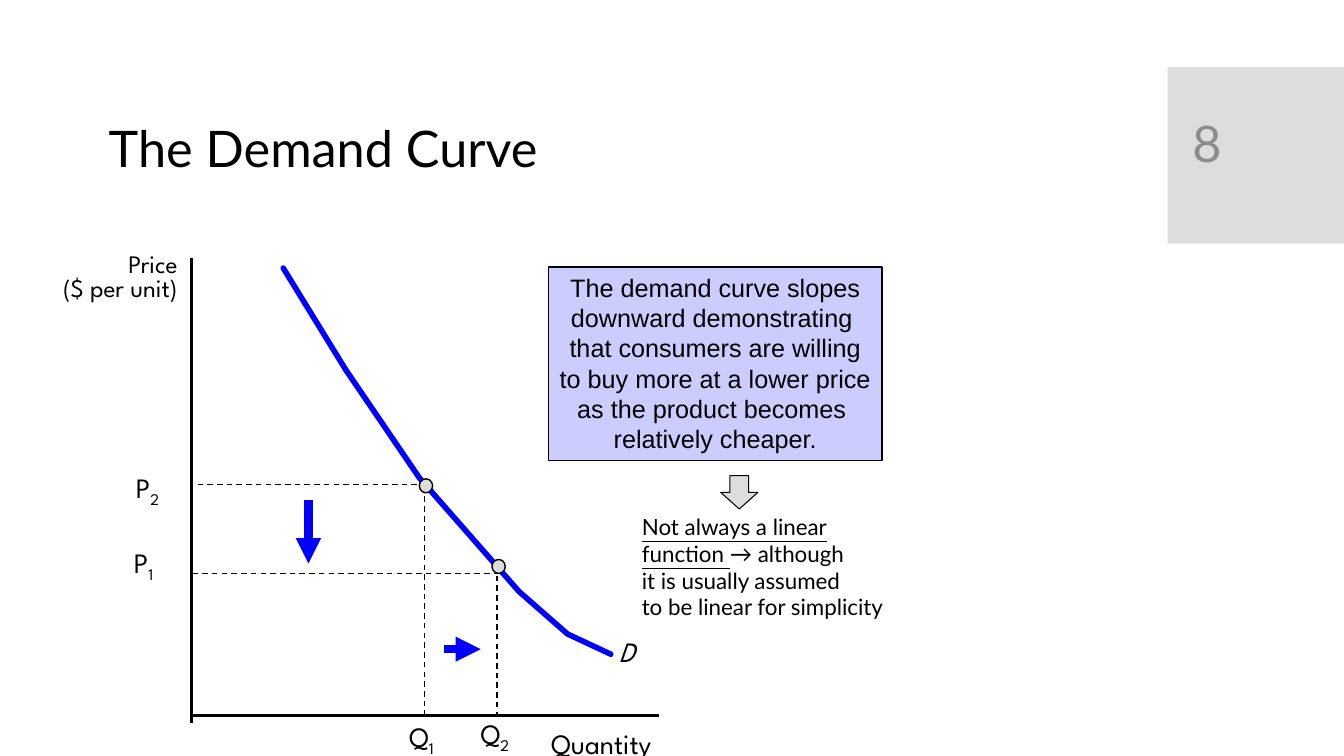
from pptx import Presentation
from pptx.util import Pt
from pptx.dml.color import RGBColor as RGB
from pptx.enum.dml import MSO_LINE as Dash
from pptx.enum.shapes import MSO_CONNECTOR as Conn, MSO_SHAPE as Form
from pptx.enum.text import MSO_ANCHOR as Anchor, PP_ALIGN as Align
from pptx.oxml.ns import qn
from lxml.etree import SubElement as Sub

INK = {"black": "000000", "blue": "0000FF", "lilac": "CCCCFF",
       "gray": "DDDDDD", "dim": "8C8C8C"}
SPARTAN, LATO, ARIAL = "League Spartan", "Lato", "Arial"
AXIS_X, AXIS_Y = 136.8, 511.2


def hue(name):
    return RGB.from_string(INK[name])


def write(shape, lines, size, face=SPARTAN, color="black", align=Align.LEFT,
          anchor=Anchor.TOP, space=None, wrap=True):
    """Each line is a list of (text, options) runs."""
    frame = shape.text_frame
    frame.word_wrap = wrap
    frame.vertical_anchor = anchor
    for i, line in enumerate(lines):
        para = frame.add_paragraph() if i else frame.paragraphs[0]
        para.alignment = align
        if space:
            para.line_spacing = space
        for text, opts in line:
            run = para.add_run()
            run.text = text
            font = run.font
            font.name = face
            font.size = Pt(opts.get("size", size))
            font.color.rgb = hue(color)
            font.italic = opts.get("italic")
            font.underline = opts.get("under")
            if "base" in opts:
                run._r.get_or_add_rPr().set("baseline", str(opts["base"]))


def label(slide, box, lines, size, **style):
    shape = slide.shapes.add_textbox(*map(Pt, box))
    write(shape, lines, size, **style)


def block(slide, form, box, fill, width=0):
    shape = slide.shapes.add_shape(form, *map(Pt, box))
    shape.shadow.inherit = False
    shape.fill.solid()
    shape.fill.fore_color.rgb = hue(fill)
    if width:
        shape.line.color.rgb = hue("black")
        shape.line.width = Pt(width)
    else:
        shape.line.fill.background()
    return shape


def rule(slide, start, end, width, color="black", dash=False, head=False):
    line = slide.shapes.add_connector(Conn.STRAIGHT, *map(Pt, start + end))
    line.line.color.rgb = hue(color)
    line.line.width = Pt(width)
    if dash:
        line.line.dash_style = Dash.DASH
    if head:
        Sub(line.line._get_or_add_ln(), qn("a:tailEnd"), type="triangle")
    Sub(line._element.spPr, qn("a:effectLst"))


def curve(slide, points):
    spots = [(Pt(x), Pt(y)) for x, y in points]
    build = slide.shapes.build_freeform(*spots[0], scale=1.0)
    build.add_line_segments(spots[1:], close=False)
    shape = build.convert_to_shape()
    shape.shadow.inherit = False
    shape.fill.background()
    shape.line.color.rgb = hue("blue")
    shape.line.width = Pt(4)
    pen = shape.line._get_or_add_ln()
    pen.set("cap", "rnd")
    Sub(pen, qn("a:round"))


def point(slide, left, x, y, dot, price, amount):
    """Dashed guides, axis labels and marker for one price and quantity."""
    rule(slide, (left, y), (x, y), 1, dash=True)
    rule(slide, (x, y + 1.4), (x, AXIS_Y), 1, dash=True)
    for mark, num, spot in (("P", *price), ("Q", *amount)):
        label(slide, spot + (46, 31), [[(mark, {}), (num, {"base": -25000})]], 20)
    block(slide, Form.OVAL, dot + (9.5, 10), "gray", 1)


def main():
    prs = Presentation()
    prs.slide_width, prs.slide_height = Pt(960), Pt(540)
    slide = prs.slides.add_slide(prs.slide_layouts[6])

    # Title and page number
    block(slide, Form.RECTANGLE, (834, 48, 126, 126), "gray")
    label(slide, (70.6, 70.6, 576, 74.2), [[("The Demand Curve", {})]], 36,
          face=LATO, anchor=Anchor.MIDDLE, space=0.9)
    label(slide, (844.6, 59, 90.7, 85.7), [[("8", {})]], 36,
          face=LATO, color="dim", anchor=Anchor.MIDDLE)

    # Axes
    rule(slide, (AXIS_X, 184.3), (AXIS_X, 516.2), 2)
    rule(slide, (138.2, AXIS_Y), (470.9, AXIS_Y), 2)
    label(slide, (24.5, 177.8, 109.4, 41.8),
          [[("Price", {})], [("($ per unit)", {})]], 18,
          align=Align.RIGHT, space=0.8)
    label(slide, (386.6, 511.2, 105.8, 36),
          [[("Quantity", {}), (" ", {"size": 24})]], 20)

    # Demand curve
    curve(slide, [(202.3, 191.5), (247, 264.2), (299.5, 341.3),
                  (370.8, 422.6), (405.4, 452.9), (436.3, 467.3)])
    label(slide, (434.9, 450, 29.5, 31), [[("D", {"italic": True})]], 20)

    # Two points on the curve and the moves between them
    point(slide, 141.1, 303.4, 346.3, (299.5, 342),
          ("2", (90, 332.6)), ("1", (285.1, 510.5)))
    point(slide, 137.5, 355, 409.7, (351.4, 399.6),
          ("1", (88.6, 385.9)), ("2", (336.2, 508.3)))
    rule(slide, (220.3, 357.1), (220.3, 402.5), 6, "blue", head=True)
    rule(slide, (317.5, 463.7), (343.4, 463.7), 6, "blue", head=True)

    # Explanation
    note = block(slide, Form.RECTANGLE, (391.7, 190.8, 238.3, 138.2), "lilac", 1)
    words = ["The demand curve slopes", "downward demonstrating ",
             "that consumers are willing", "to buy more at a lower price",
             "as the product becomes ", "relatively cheaper."]
    write(note, [[(text, {})] for text in words], 18, face=ARIAL,
          align=Align.CENTER, wrap=False)
    block(slide, Form.DOWN_ARROW, (514.8, 339.8, 26.6, 23.8), "gray", 0.75)
    under = {"under": True}
    label(slide, (451.4, 362.9, 211, 85),
          [[("Not always a linear", under)],
           [("function ", under), ("→ although", {})],
           [("it is usually assumed", {})],
           [("to be linear for simplicity", {})]], 16, face=LATO)

    prs.save("out.pptx")


if __name__ == "__main__":
    main()
